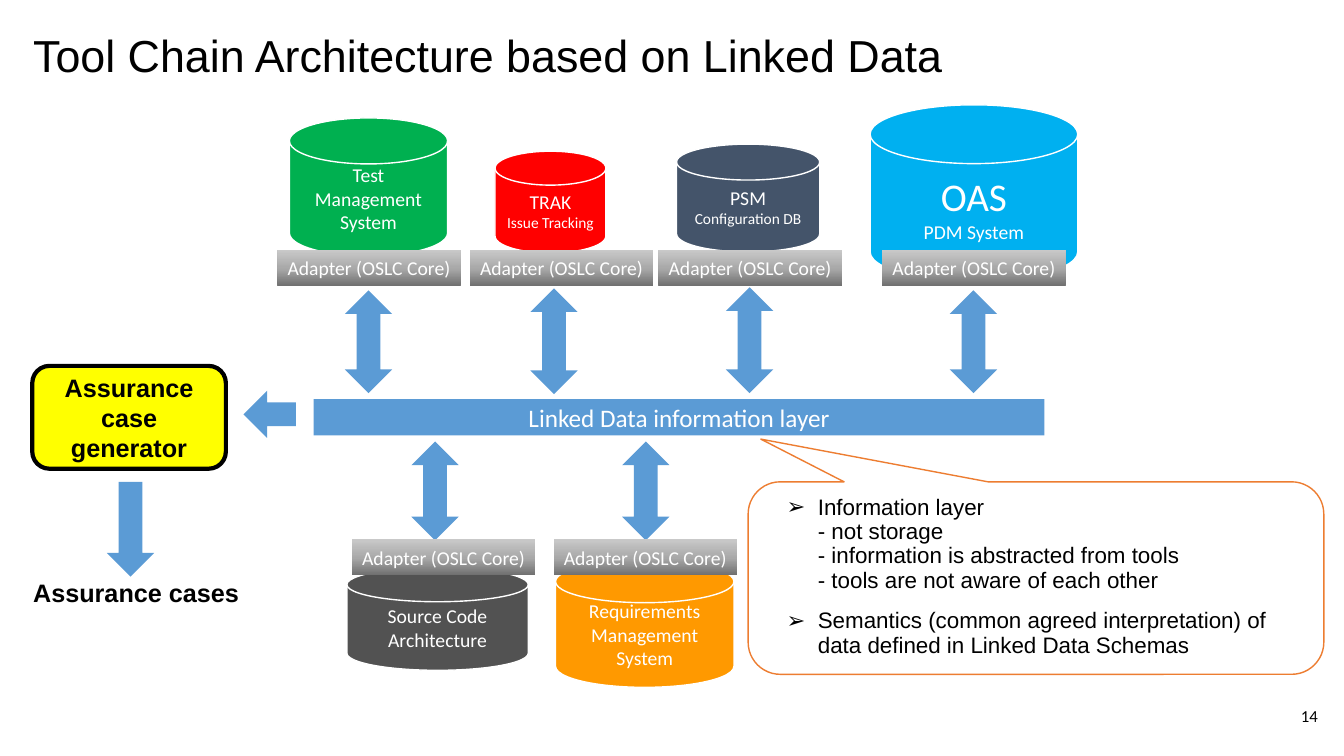
"""Build the tool chain architecture slide."""
from copy import deepcopy

from lxml import etree
from pptx import Presentation
from pptx.dml.color import RGBColor
from pptx.enum.shapes import MSO_SHAPE
from pptx.enum.text import MSO_ANCHOR, PP_ALIGN
from pptx.oxml.ns import qn
from pptx.util import Emu, Pt

CYLINDER = MSO_SHAPE.FLOWCHART_MAGNETIC_DISK
RECTANGLE = MSO_SHAPE.RECTANGLE
ROUNDED = MSO_SHAPE.ROUNDED_RECTANGLE
CALLOUT = MSO_SHAPE.ROUNDED_RECTANGULAR_CALLOUT
TWO_WAY = MSO_SHAPE.UP_DOWN_ARROW
DOWN = MSO_SHAPE.DOWN_ARROW
MIDDLE, TOP = MSO_ANCHOR.MIDDLE, MSO_ANCHOR.TOP
LEFT, CENTER, RIGHT = PP_ALIGN.LEFT, PP_ALIGN.CENTER, PP_ALIGN.RIGHT

EMU_PER_PX = 9144
COLORS = {
    "white": "FFFFFF", "black": "000000", "blue": "5B9BD5", "green": "00B050",
    "red": "FF0000", "slate": "44546A", "sky": "00B0F0", "gray": "525252",
    "amber": "FF9900", "yellow": "FFFF00", "orange": "ED7D31",
    "metal_dark": "6F6F6F", "metal": "A8A8A8", "metal_light": "C9C9C9",
}
ADAPTER_STOPS = ((0, "metal_dark"), (0.48, "metal"), (1, "metal_light"))
ADAPTER_SIZE = (182, 36)
UPPER_ADAPTER_TOP, LOWER_ADAPTER_TOP = 248, 535
ARROW_WIDTH = 47

UPPER_TOOLS = (
    ((287, 117, 157, 137), "green", [("Test Management System", 14)], 275, (342, 288, 102)),
    ((491, 150, 110, 101), "red", [("TRAK", 14), ("Issue Tracking", 11)], 466, (526, 286, 105)),
    ((671, 143, 142, 107), "slate", [("PSM", 14), ("Configuration DB", 11)], 653, (720, 285, 105)),
    ((863, 104, 206, 175), "sky", [("OAS", 28), ("PDM System", 14)], 875, (942, 288, 102)),
)
LOWER_TOOLS = (
    ((344, 563, 180, 102), "gray", [("Source Code Architecture", 14)], 349, (408, 438, 98)),
    ((551, 556, 177, 126), "amber", [("Requirements Management System", 14)], 549, (617, 438, 98)),
)
NOTES = (
    ("Information layer", "- not storage", "- information is abstracted from tools",
     "- tools are not aware of each other"),
    ("Semantics (common agreed interpretation) of data defined in Linked Data Schemas",),
)


class ArchitectureSlide:
    """Hold the slide and its style, and draw each kind of element."""

    def __init__(self, presentation):
        self.slide = presentation.slides.add_slide(presentation.slide_layouts[6])

    def box(self, numbers):
        return [Emu(number * EMU_PER_PX) for number in numbers]

    def color(self, name):
        return RGBColor.from_string(COLORS[name])

    def add_run(self, paragraph, text, size, font, color, bold=False):
        run = paragraph.add_run()
        run.text = text
        run.font.size = Pt(size)
        run.font.name = font
        run.font.bold = bold
        run.font.color.rgb = self.color(color)

    def label(self, shape, lines, font="Calibri", color="white", bold=False,
              align=CENTER, anchor=MIDDLE, wrap=True):
        frame = shape.text_frame
        frame.word_wrap = wrap
        frame.vertical_anchor = anchor
        for index, (text, size) in enumerate(lines):
            paragraph = frame.add_paragraph() if index else frame.paragraphs[0]
            paragraph.alignment = align
            self.add_run(paragraph, text, size, font, color, bold)
        return frame

    def shape(self, kind, box, fill=None, line=None, width=1):
        shape = self.slide.shapes.add_shape(kind, *self.box(box))
        shape.shadow.inherit = False
        if fill:
            shape.fill.solid()
            shape.fill.fore_color.rgb = self.color(fill)
        if line:
            shape.line.color.rgb = self.color(line)
            shape.line.width = Pt(width)
        else:
            shape.line.fill.background()
        return shape

    def text(self, box, text, size, **style):
        textbox = self.slide.shapes.add_textbox(*self.box(box))
        return self.label(textbox, [(text, size)], color="black", **style)

    def cylinder(self, box, fill, lines):
        self.label(self.shape(CYLINDER, box, fill, "white"), lines)

    def arrow(self, kind, left, top, height, rotation=0):
        arrow = self.shape(kind, (left, top, ARROW_WIDTH, height), "blue")
        arrow.rotation = rotation

    def adapter(self, left, top):
        adapter = self.shape(RECTANGLE, (left, top, *ADAPTER_SIZE))
        adapter.fill.gradient()
        stop_list = next(adapter.element.iter(qn("a:gsLst")))
        stop_list.append(deepcopy(stop_list[0]))
        for stop, (position, name) in zip(adapter.fill.gradient_stops, ADAPTER_STOPS):
            stop.position = position
            stop.color.rgb = self.color(name)
        adapter.fill.gradient_angle = 90
        self.label(adapter, [("Adapter (OSLC Core)", 14)])

    def tools(self, tools, adapter_top):
        for box, fill, lines, adapter_left, arrow in tools:
            self.cylinder(box, fill, lines)
            self.arrow(TWO_WAY, *arrow)
            self.adapter(adapter_left, adapter_top)

    def callout(self, box, notes):
        callout = self.shape(CALLOUT, box, "white", "orange")
        for index, value in enumerate((-0.478, -0.722, 0.167)):
            callout.adjustments[index] = value
        frame = callout.text_frame
        frame.word_wrap = True
        frame.vertical_anchor = TOP
        for index, lines in enumerate(notes):
            paragraph = frame.add_paragraph() if index else frame.paragraphs[0]
            paragraph.alignment = LEFT
            paragraph.line_spacing = 0.9
            if index:
                paragraph.space_before = Pt(12)
            properties = paragraph._p.get_or_add_pPr()
            properties.set("marL", str(50 * EMU_PER_PX))
            properties.set("indent", str(-31 * EMU_PER_PX))
            bullet_color = etree.SubElement(properties, qn("a:buClr"))
            etree.SubElement(bullet_color, qn("a:srgbClr"), val=COLORS["black"])
            etree.SubElement(properties, qn("a:buFont"), typeface="Arial")
            etree.SubElement(properties, qn("a:buChar"), char="➢")
            for number, line in enumerate(lines):
                if number:
                    paragraph.add_line_break()
                self.add_run(paragraph, line, 16, "Arial", "black")


def main():
    presentation = Presentation()
    presentation.slide_width = Emu(1333 * EMU_PER_PX)
    presentation.slide_height = Emu(750 * EMU_PER_PX)
    page = ArchitectureSlide(presentation)

    title = page.text((23, 16, 1201, 84), "Tool Chain Architecture based on Linked Data", 32,
                      font="Arial", align=LEFT)
    title.paragraphs[0].line_spacing = 0.9

    layer = page.shape(RECTANGLE, (311, 396, 725, 36), "blue")
    page.label(layer, [("Linked Data information layer", 18)])
    page.tools(UPPER_TOOLS, UPPER_ADAPTER_TOP)
    page.tools(LOWER_TOOLS, LOWER_ADAPTER_TOP)

    generator = page.shape(ROUNDED, (32, 363, 192, 102), "yellow", "black", 3)
    page.label(generator, [("Assurance case generator", 18)], "Arial", "black", True)
    page.arrow(DOWN, 244, 385, 52, rotation=90)
    page.arrow(DOWN, 106, 478, 94)
    page.text((23, 568, 231, 40), "Assurance cases", 18, font="Arial", bold=True,
              align=LEFT, anchor=TOP, wrap=False)

    page.callout((742, 478, 571, 191), NOTES)
    page.text((1017, 695, 300, 40), "14", 12, align=RIGHT, anchor=TOP)
    presentation.save("out.pptx")


if __name__ == "__main__":
    main()
